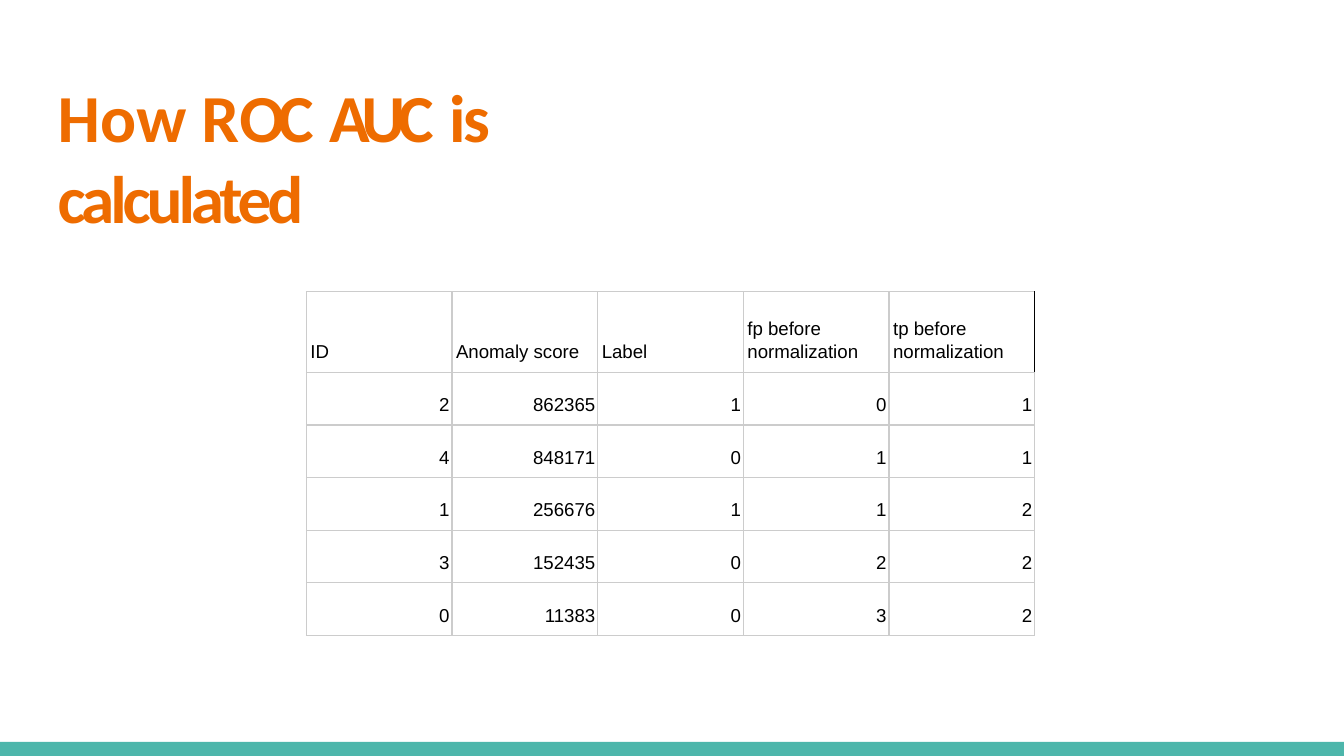
import pptx
import pptx.util
import pptx.dml.color
import pptx.enum.shapes
import pptx.enum.text
import pptx.oxml
import pptx.oxml.ns

Inches, Pt = pptx.util.Inches, pptx.util.Pt
ALIGN = pptx.enum.text.PP_ALIGN

COLORS = {"title": "EE6C00", "bar": "4DB6AB", "grid": "CCCCCC",
          "text": "000000", "cell": "FFFFFF"}

# Each title run with its letter spacing in points; word gaps keep full width
TITLE = [("H", -3.8), ("o", -3.5), ("w", -5.4), (" ", 0), ("R", -3.1),
         ("OC", -3.5), (" ", 0), ("AUC", -3.8), (" ", 0), ("is", -1.3),
         (" ", 0), ("calculated", -2.2)]
HEADER = ["ID", "Anomaly score", "Label",
          "fp before normalization", "tp before normalization"]
SCORES = [
    (2, 862365, 1, 0, 1),
    (4, 848171, 0, 1, 1),
    (1, 256676, 1, 1, 2),
    (3, 152435, 0, 2, 2),
    (0, 11383, 0, 3, 2),
]
SLIDE_WIDTH = Inches(10)
SLIDE_HEIGHT = SLIDE_WIDTH * 9 // 16
TABLE_WIDTH, TABLE_HEIGHT, HEADER_HEIGHT = Inches(5.42), Inches(2.56), Inches(0.6)


def rgb(name):
    return pptx.dml.color.RGBColor.from_string(COLORS[name])


def add_run(paragraph, text, font, size, color, bold=False, spacing=0):
    run = paragraph.add_run()
    run.text = text
    run.font.name, run.font.size, run.font.bold = font, Pt(size), bold
    run.font.color.rgb = rgb(color)
    if spacing:
        run.font._element.set("spc", str(round(spacing * 100)))


def set_borders(cell, colors):
    """Draw the four sides; colors maps L, R, T and B to colour names."""
    properties = cell._tc.get_or_add_tcPr()
    for index, side in enumerate("LRTB"):
        properties.insert(index, pptx.oxml.parse_xml(
            f'<a:ln{side} {pptx.oxml.ns.nsdecls("a")} w="{Pt(0.75)}">'
            f'<a:solidFill><a:srgbClr val="{COLORS[colors[side]]}"/></a:solidFill>'
            f'</a:ln{side}>'))


def fill_cell(cell, text, is_header):
    cell.margin_top = 0
    cell.margin_bottom = Inches(0.07)
    cell.margin_left = Inches(0.03)
    cell.margin_right = Inches(0 if is_header else 0.02)
    cell.vertical_anchor = pptx.enum.text.MSO_ANCHOR.BOTTOM
    cell.fill.solid()
    cell.fill.fore_color.rgb = rgb("cell")
    paragraph = cell.text_frame.paragraphs[0]
    paragraph.alignment = ALIGN.LEFT if is_header else ALIGN.RIGHT
    if is_header:
        paragraph.line_spacing = 1.12
    add_run(paragraph, text, "Arial", 10, "text")


def add_bar(slide):
    top = Inches(5.52)
    bar = slide.shapes.add_shape(
        pptx.enum.shapes.MSO_SHAPE.RECTANGLE,
        0, top, SLIDE_WIDTH, SLIDE_HEIGHT - top)
    bar.shadow.inherit = False
    bar.fill.solid()
    bar.fill.fore_color.rgb = rgb("bar")
    bar.line.fill.background()


def add_title(slide):
    title = slide.shapes.add_textbox(
        Inches(0.42), Inches(0.55), Inches(4.74), Inches(0.63))
    frame = title.text_frame
    frame.word_wrap = True
    frame.margin_left = frame.margin_top = Inches(0.01)
    frame.margin_right = frame.margin_bottom = 0
    for text, spacing in TITLE:
        add_run(frame.paragraphs[0], text, "Calibri", 36, "title", True, spacing)


def add_score_table(slide):
    rows = [HEADER] + SCORES
    table = slide.shapes.add_table(
        len(rows), len(HEADER), Inches(2.28), Inches(2.17),
        TABLE_WIDTH, TABLE_HEIGHT).table
    row_height = (TABLE_HEIGHT - HEADER_HEIGHT) // len(SCORES)
    for column in table.columns:
        column.width = TABLE_WIDTH // len(HEADER)
    for r, values in enumerate(rows):
        is_header = r == 0
        table.rows[r].height = HEADER_HEIGHT if is_header else row_height
        for c, value in enumerate(values):
            cell = table.cell(r, c)
            fill_cell(cell, str(value), is_header)
            sides = dict.fromkeys("LRTB", "grid")
            if is_header and c == len(HEADER) - 1:
                sides["R"] = "text"
            set_borders(cell, sides)


def main():
    deck = pptx.Presentation()
    deck.slide_width, deck.slide_height = SLIDE_WIDTH, SLIDE_HEIGHT
    slide = deck.slides.add_slide(deck.slide_layouts[6])
    add_bar(slide)
    add_title(slide)
    add_score_table(slide)
    deck.save("out.pptx")


if __name__ == "__main__":
    main()
